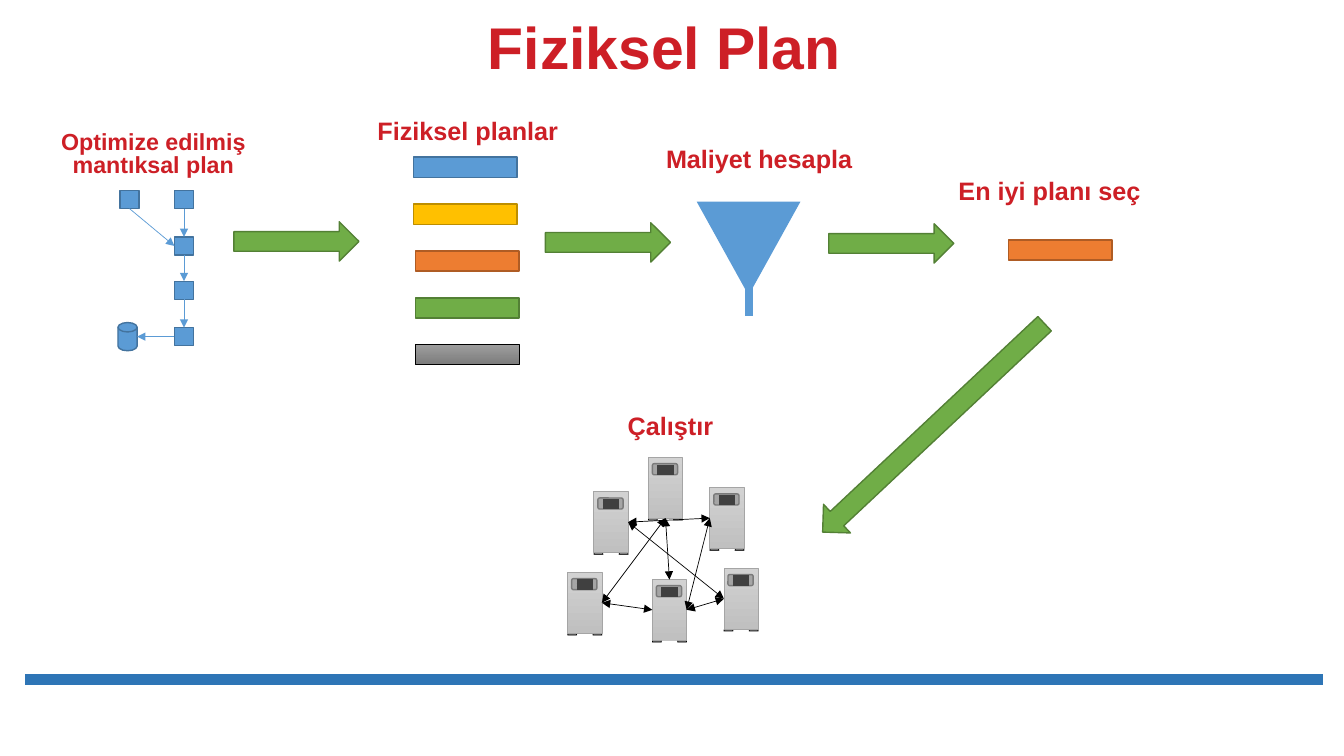
from lxml import etree
from pptx import Presentation
from pptx.dml.color import RGBColor
from pptx.enum.shapes import MSO_CONNECTOR, MSO_SHAPE
from pptx.enum.text import MSO_ANCHOR, PP_ALIGN
from pptx.oxml.ns import qn
from pptx.util import Inches, Pt

RED = RGBColor(0xCD, 0x1F, 0x26)
BLUE, BLUE_EDGE = RGBColor(0x5B, 0x9B, 0xD5), RGBColor(0x43, 0x73, 0x9E)
GREEN, GREEN_EDGE = RGBColor(0x70, 0xAD, 0x47), RGBColor(0x53, 0x80, 0x35)
ORANGE, ORANGE_EDGE = RGBColor(0xED, 0x7D, 0x31), RGBColor(0xAF, 0x5C, 0x24)
GOLD, GOLD_EDGE = RGBColor(0xFF, 0xC0, 0x00), RGBColor(0xBD, 0x8E, 0x00)
SILVER, SILVER_EDGE = RGBColor(0xA5, 0xA5, 0xA5), RGBColor(0x7A, 0x7A, 0x7A)
STEEL = (RGBColor(0x9D, 0x9D, 0x9D), RGBColor(0x7C, 0x7C, 0x7C))
CASE = (RGBColor(0xD2, 0xD2, 0xD2), RGBColor(0xC0, 0xC0, 0xC0))
BLACK, DARK = RGBColor(0, 0, 0), RGBColor(0x40, 0x40, 0x40)
RULE_BLUE = RGBColor(0x2E, 0x75, 0xB6)

TOP, LEFT, BOTTOM, RIGHT = range(4)

# Content: text, left, top, width, height, size, line spacing
LABELS = [
    ("Fiziksel Plan", 1.59, 0.12, 10, 0.74, 42, 0.9),
    ("Optimize edilmiş\nmantıksal plan", 0.29, 1.22, 2.46, 0.59, 16.6, 0.8),
    ("Fiziksel planlar", 3.41, 1.04, 2.46, 0.46, 18, 0.9),
    ("Maliyet hesapla", 6.3, 1.32, 2.46, 0.46, 18, 0.9),
    ("En iyi planı seç", 9.18, 1.63, 2.46, 0.46, 18, 0.9),
    ("Çalıştır", 5.42, 3.96, 2.46, 0.46, 18, 0.9),
]
# Left, top, width, rotation
ARROWS = [(2.32, 2.2, 1.24, 0), (5.41, 2.21, 1.24, 0),
          (8.22, 2.22, 1.24, 0), (7.75, 4.05, 3.02, 136.8)]
# Left, fill, edge, edge width
PLANS = [(4.1, BLUE, BLUE_EDGE, 1), (4.1, GOLD, GOLD_EDGE, 1),
         (4.12, ORANGE, ORANGE_EDGE, 1), (4.12, GREEN, GREEN_EDGE, 1),
         (4.12, STEEL, BLACK, 0.5)]
PLAN_TOP, PLAN_STEP, PLAN_W, PLAN_H = 1.56, 0.465, 1.03, 0.2
STEPS = [(1.19, 1.89), (1.73, 1.89), (1.73, 2.35), (1.73, 2.79), (1.73, 3.25)]
STEP_LINKS = [(0, BOTTOM, 2, LEFT), (1, BOTTOM, 2, TOP),
              (2, BOTTOM, 3, TOP), (3, BOTTOM, 4, TOP)]
SERVERS = {"top": (6.43, 4.54), "east": (7.18, 5.64), "southwest": (5.63, 5.68),
           "south": (6.47, 5.75), "northeast": (7.04, 4.84), "northwest": (5.89, 4.88)}
SERVER_LINKS = [
    ("top", BOTTOM, "south", TOP),
    ("northwest", RIGHT, "northeast", LEFT),
    ("east", LEFT, "south", RIGHT),
    ("southwest", RIGHT, "south", LEFT),
    ("northwest", RIGHT, "east", LEFT),
    ("northeast", LEFT, "south", RIGHT),
    ("top", BOTTOM, "southwest", RIGHT),
]

prs = Presentation()
prs.slide_width, prs.slide_height = Inches(13.33), Inches(7.5)
s = prs.slides.add_slide(prs.slide_layouts[6])


def add_block(kind, x, y, w, h, fill, edge=None, edge_w=1):
    sp = s.shapes.add_shape(kind, Inches(x), Inches(y), Inches(w), Inches(h))
    sp.shadow.inherit = False
    if isinstance(fill, RGBColor):
        sp.fill.solid()
        sp.fill.fore_color.rgb = fill
    else:
        sp.fill.gradient()
        sp.fill.gradient_angle = 270
        for stop, color in zip(sp.fill.gradient_stops, fill):
            stop.color.rgb = color
    if edge is None:
        sp.line.fill.background()
    else:
        sp.line.color.rgb = edge
        sp.line.width = Pt(edge_w)
    return sp


def add_line(x1, y1, x2, y2, color, width, ends=()):
    c = s.shapes.add_connector(MSO_CONNECTOR.STRAIGHT, Inches(x1), Inches(y1),
                               Inches(x2), Inches(y2))
    c.line.color.rgb = color
    c.line.width = Pt(width)
    for end in ends:
        etree.SubElement(c.line._get_or_add_ln(), qn(f"a:{end}"), type="triangle")
    etree.SubElement(c._element.spPr, qn("a:effectLst"))
    return c


def join(a, a_side, b, b_side, color, ends):
    c = add_line(0, 0, 0, 0, color, 0.5, ends)
    c.begin_connect(a, a_side)
    c.end_connect(b, b_side)


def add_label(text, x, y, w, h, size, spacing):
    tf = s.shapes.add_textbox(Inches(x), Inches(y), Inches(w), Inches(h)).text_frame
    tf.word_wrap = True
    tf.vertical_anchor = MSO_ANCHOR.BOTTOM
    tf.text = text
    for p in tf.paragraphs:
        p.alignment = PP_ALIGN.CENTER
        p.line_spacing = spacing
        for r in p.runs:
            r.font.name, r.font.size, r.font.bold = "Arial", Pt(size), True
            r.font.color.rgb = RED


def add_server(x, y):
    for foot_x in (x, x + 0.25):
        add_block(MSO_SHAPE.TRAPEZOID, foot_x, y + 0.58, 0.09, 0.04, STEEL, BLACK, 0.5)
    case = add_block(MSO_SHAPE.RECTANGLE, x, y, 0.34, 0.6, CASE, SILVER, 0.5)
    add_block(MSO_SHAPE.ROUNDED_RECTANGLE, x + 0.04, y + 0.06, 0.25, 0.11,
              SILVER, SILVER_EDGE)
    for i in range(3):
        slot_y = y + 0.09 + 0.03 * i
        add_line(x + 0.09, slot_y, x + 0.25, slot_y, DARK, 3)
    return case


# Footer rule and labels
add_line(0.25, 6.74, 13.12, 6.74, RULE_BLUE, 8)
for label in LABELS:
    add_label(*label)

# Optimized logical plan
steps = [add_block(MSO_SHAPE.RECTANGLE, x, y, 0.19, 0.18, BLUE, BLUE_EDGE)
         for x, y in STEPS]
add_block(MSO_SHAPE.FLOWCHART_MAGNETIC_DISK, 1.17, 3.2, 0.19, 0.28, BLUE, BLUE_EDGE)
for a, a_side, b, b_side in STEP_LINKS:
    join(steps[a], a_side, steps[b], b_side, BLUE, ["tailEnd"])
to_disk = add_line(1.73, 3.34, 1.36, 3.34, BLUE, 0.5, ["tailEnd"])
to_disk.begin_connect(steps[-1], LEFT)

# Physical plans and the chosen one
for i, (x, fill, edge, edge_w) in enumerate(PLANS):
    add_block(MSO_SHAPE.RECTANGLE, x, PLAN_TOP + PLAN_STEP * i, PLAN_W, PLAN_H,
              fill, edge, edge_w)
add_block(MSO_SHAPE.RECTANGLE, 10, 2.38, PLAN_W, PLAN_H, ORANGE, ORANGE_EDGE)

# Cost funnel
add_block(MSO_SHAPE.FLOWCHART_MERGE, 6.91, 2, 1.03, 0.93, BLUE)
add_line(7.43, 2.7, 7.43, 3.14, BLUE, 6)

# Server cluster
servers = {name: add_server(x, y) for name, (x, y) in SERVERS.items()}
for a, a_side, b, b_side in SERVER_LINKS:
    join(servers[a], a_side, servers[b], b_side, BLACK, ["headEnd", "tailEnd"])

# Flow arrows
for x, y, w, rotation in ARROWS:
    arrow = add_block(MSO_SHAPE.RIGHT_ARROW, x, y, w, 0.39, GREEN, GREEN_EDGE)
    arrow.rotation = rotation

prs.save("out.pptx")
